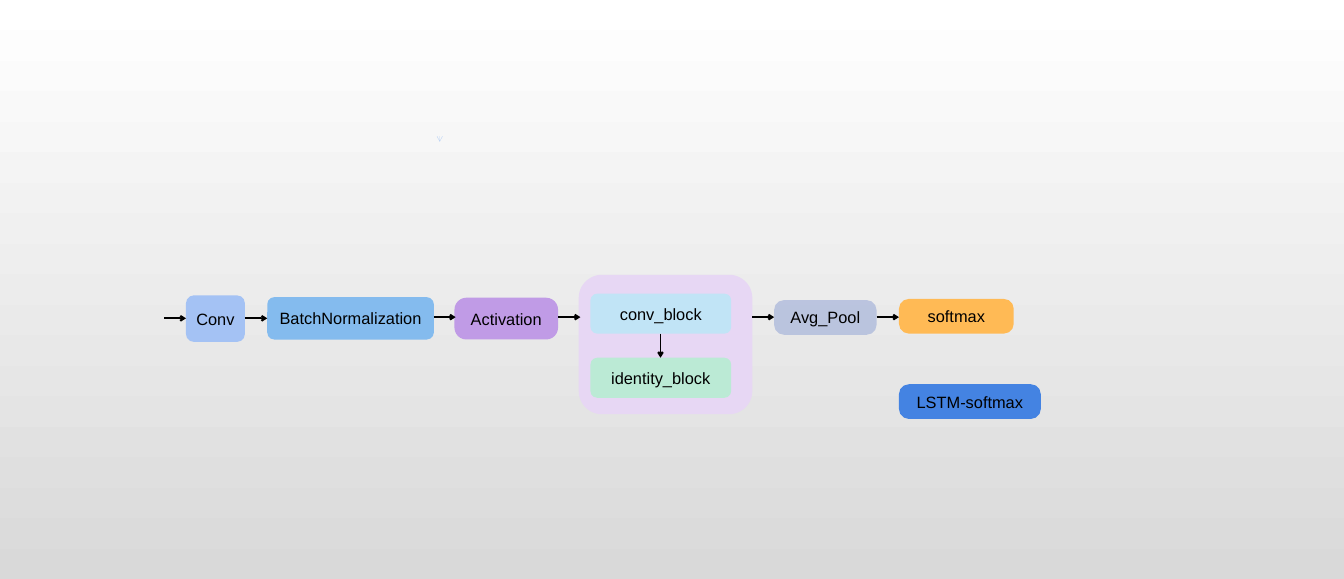
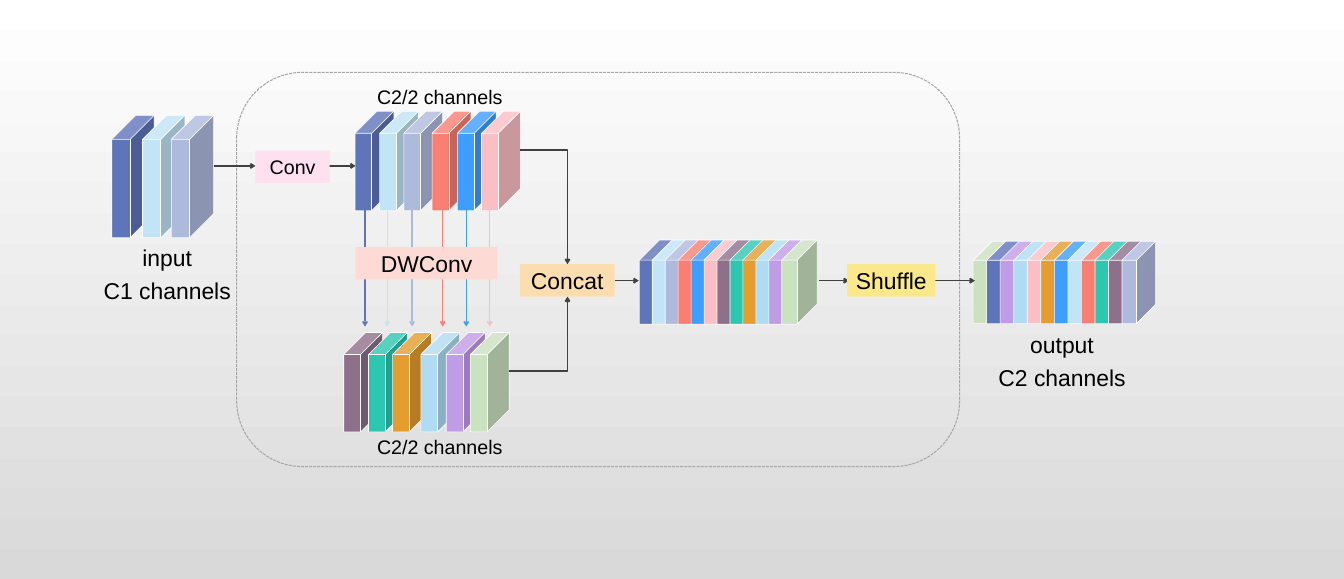
from lxml.etree import SubElement
from pptx import Presentation
from pptx.dml.color import RGBColor
from pptx.enum.dml import MSO_LINE
from pptx.enum.shapes import MSO_CONNECTOR, MSO_SHAPE
from pptx.enum.text import MSO_ANCHOR, PP_ALIGN
from pptx.oxml.ns import qn
from pptx.util import Inches, Pt

COLORS = {
    "white": "FFFFFF", "gray": "D9D9D9", "black": "000000", "ink": "404040",
    "dash": "A6A6A6", "navy": "5E75BA", "sky": "C1E4F6", "slate": "AEBADC",
    "coral": "F97F72", "blue": "3D9EFE", "pink": "FABEC5", "plum": "8E708B",
    "teal": "2DC6B1", "amber": "E49D2E", "ice": "AFDCF2", "violet": "C09BE6",
    "sage": "CAE2C0", "lilac": "E7D7F4", "norm": "84BBEE", "conv": "A4C2F4",
    "softmax": "FFBA55", "mint": "BBEAD5", "lstm": "4483E2", "speck": "BFD5F5",
    "rose": "FEE0EF", "peach": "FCDDAF", "lemon": "FBE88B", "blush": "FDDAD4",
}
FONT = "Arial"
FIRST_HALF = ["navy", "sky", "slate", "coral", "blue", "pink"]
SECOND_HALF = ["plum", "teal", "amber", "ice", "violet", "sage"]
SHUFFLED = ["sage", "navy", "violet", "ice", "pink", "amber",
            "blue", "sky", "coral", "teal", "plum", "slate"]


def rgb(name):
    return RGBColor.from_string(COLORS[name])


def write(frame, text, size=20, spacing=None, inset=None, anchor=MSO_ANCHOR.TOP):
    frame.word_wrap = True
    frame.vertical_anchor = anchor
    if inset is not None:
        frame.margin_left = frame.margin_right = Inches(inset)
        frame.margin_top = frame.margin_bottom = Inches(inset)
    frame.text = text
    for paragraph in frame.paragraphs:
        paragraph.alignment = PP_ALIGN.CENTER
        if spacing:
            paragraph.line_spacing = spacing
        paragraph.font.size = Pt(size)
        paragraph.font.name = FONT
        paragraph.font.color.rgb = rgb("black")


class Diagram:
    """Hold the shared style and the current slide, and draw diagram parts on it."""

    def __init__(self):
        self.deck = Presentation()
        self.deck.slide_width = Inches(22.83)
        self.deck.slide_height = Inches(9.84)
        backdrop = self.deck.slide_master.background.fill
        backdrop.gradient()
        backdrop.gradient_angle = 270
        for stop, color in zip(backdrop.gradient_stops, ("white", "gray")):
            stop.color.rgb = rgb(color)
        self.slide = None

    def new_slide(self):
        self.slide = self.deck.slides.add_slide(self.deck.slide_layouts[6])

    def block(self, at, color=None, text="", size=20, inset=0.1,
              kind=MSO_SHAPE.ROUNDED_RECTANGLE, bend=None, alpha=None):
        block = self.slide.shapes.add_shape(kind, *map(Inches, at))
        block.shadow.inherit = False
        block.line.fill.background()
        if bend is not None:
            block.adjustments[0] = bend
        if color:
            block.fill.solid()
            block.fill.fore_color.rgb = rgb(color)
        else:
            block.fill.background()
        if alpha:
            paint = block._element.spPr.find(qn("a:solidFill"))[0]
            SubElement(paint, qn("a:alpha"), val=str(alpha * 1000))
        if text:
            write(block.text_frame, text, size=size, inset=inset,
                  anchor=MSO_ANCHOR.MIDDLE)
        return block

    def pill(self, at, color, text, alpha=None):
        self.block(at, color, text, inset=0.17, bend=0.285, alpha=alpha)

    def operation(self, at, color, text, size=28):
        self.block(at, color, text, size=size, kind=MSO_SHAPE.RECTANGLE)

    def dashed_frame(self, at):
        frame = self.block(at)
        frame.line.color.rgb = rgb("dash")
        frame.line.width = Pt(1.25)
        frame.line.dash_style = MSO_LINE.SQUARE_DOT

    def cubes(self, left, top, size, offsets, colors):
        for offset, color in zip(offsets, colors):
            cube = self.block((left + offset, top, *size), color,
                              kind=MSO_SHAPE.CUBE, bend=0.568)
            cube.line.color.rgb = rgb("white")
            cube.line.width = Pt(0.75)

    def arrow(self, start, end, color="ink", width=2, bent=False):
        kind = MSO_CONNECTOR.ELBOW if bent else MSO_CONNECTOR.STRAIGHT
        arrow = self.slide.shapes.add_connector(kind, *map(Inches, (*start, *end)))
        arrow.line.color.rgb = rgb(color)
        arrow.line.width = Pt(width)
        properties = arrow._element.spPr
        if bent:
            properties.find(qn("a:prstGeom")).set("prst", "bentConnector2")
        SubElement(properties.find(qn("a:ln")), qn("a:tailEnd"), type="arrow")
        SubElement(properties, qn("a:effectLst"))

    def label(self, at, text, size=24, spacing=None):
        label = self.slide.shapes.add_textbox(*map(Inches, at))
        write(label.text_frame, text, size=size, spacing=spacing)


def build_network(diagram):
    diagram.new_slide()
    diagram.block((9.83, 4.67, 2.95, 2.37), "lilac")
    diagram.block((10.03, 4.99, 2.39, 0.68), "sky", "conv_block")
    diagram.block((10.03, 6.08, 2.39, 0.68), "mint", "identity_block")
    diagram.block((3.16, 5.02, 1, 0.79), "conv", "Conv")
    diagram.block((4.54, 5.05, 2.83, 0.72), "norm", "BatchNormalization")
    diagram.pill((7.72, 5.06, 1.76, 0.71), "violet", "Activation")
    diagram.pill((13.15, 5.1, 1.74, 0.59), "slate", "Avg_Pool", alpha=79)
    diagram.pill((15.27, 5.08, 1.95, 0.59), "softmax", "softmax")
    diagram.pill((15.27, 6.53, 2.41, 0.59), "lstm", "LSTM-softmax")
    diagram.arrow((7.47, 2.4), (7.47, 2.41), "speck", 0.5)
    diagram.arrow((11.22, 5.67), (11.22, 6.08), "black", 2.25)
    for left, right, level in ((2.79, 3.16, 5.41), (4.16, 4.54, 5.41),
                               (7.37, 7.74, 5.39), (9.48, 9.86, 5.39),
                               (12.78, 13.15, 5.39), (14.89, 15.27, 5.39)):
        diagram.arrow((left, level), (right, level), "black", 2.25)


def build_shuffle_unit(diagram):
    diagram.new_slide()
    diagram.dashed_frame((4.02, 1.23, 12.28, 6.7))

    half_offsets = (0, 0.42, 0.83, 1.31, 1.74, 2.15)
    half_size = (0.66, 1.69)
    merged_offsets = [step * 0.22 for step in range(12)]
    shuffled_offsets = [step * 0.23 for step in range(12)]
    diagram.cubes(1.9, 1.96, (0.72, 2.08), (0, 0.52, 1.01), FIRST_HALF)
    diagram.cubes(6.03, 1.89, half_size, half_offsets, FIRST_HALF)
    diagram.cubes(5.84, 5.65, half_size, half_offsets, SECOND_HALF)
    diagram.cubes(10.86, 4.08, (0.6, 1.43), merged_offsets, FIRST_HALF + SECOND_HALF)
    diagram.cubes(16.53, 4.1, (0.57, 1.4), shuffled_offsets, SHUFFLED)

    for across, color in zip((6.2, 6.58, 7, 7.52, 7.92, 8.32), FIRST_HALF):
        diagram.arrow((across, 3.57), (across, 5.55), color, 1.75)
    for left, right, level in ((3.63, 4.34, 2.82), (5.59, 6.04, 2.82),
                               (10.45, 10.85, 4.77), (13.91, 14.42, 4.77),
                               (15.89, 16.56, 4.77)):
        diagram.arrow((left, level), (right, level))
    diagram.arrow((8.83, 2.55), (9.64, 4.49), bent=True)
    diagram.arrow((8.65, 6.31), (9.64, 5.04), bent=True)

    diagram.operation((4.34, 2.56, 1.26, 0.55), "rose", "Conv", size=24)
    diagram.operation((6.04, 4.2, 2.41, 0.55), "blush", "DWConv")
    diagram.operation((8.83, 4.49, 1.61, 0.55), "peach", "Concat")
    diagram.operation((14.39, 4.49, 1.5, 0.55), "lemon", "Shuffle")

    diagram.label((1.66, 4, 2.36, 1.12), "input\nC1 channels", size=28, spacing=1.2)
    diagram.label((16.57, 5.48, 2.94, 1.23), "output\nC2 channels", size=28, spacing=1.2)
    for top in (1.4, 7.34):
        diagram.label((6.25, top, 2.44, 0.49), "C2/2 channels")


def main():
    diagram = Diagram()
    build_network(diagram)
    build_shuffle_unit(diagram)
    diagram.deck.save("out.pptx")


if __name__ == "__main__":
    main()
